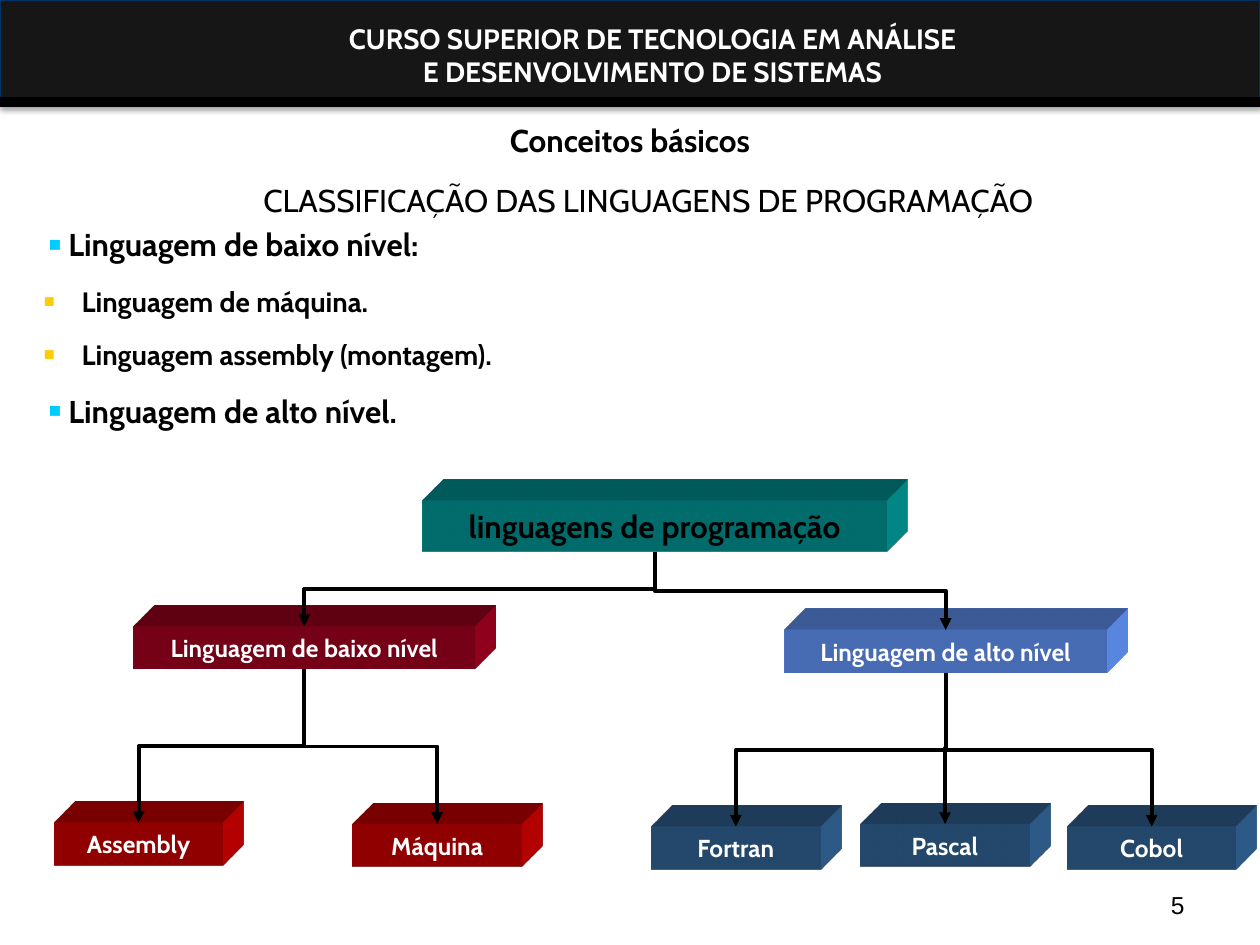
from lxml import etree
from pptx import Presentation
from pptx.dml.color import RGBColor
from pptx.enum import shapes, text
from pptx.oxml import parse_xml
from pptx.oxml.ns import nsdecls, qn
from pptx.util import Inches, Pt

FONT = "Cabin"
COLORS = {
    "black": "000000", "white": "FFFFFF", "header": "161616", "header_line": "003264",
    "cyan": "00CCFF", "yellow": "FFCC00", "teal": "009999", "wine": "A50021",
    "sky": "6699FF", "red": "CC0000", "navy": "336699",
}


def rgb(name):
    return RGBColor.from_string(COLORS[name])


def place(shape, left, top, width, height):
    shape.left, shape.top = Inches(left), Inches(top)
    shape.width, shape.height = Inches(width), Inches(height)


def add_run(paragraph, words, size, color="black", bold=False, font=FONT):
    run = paragraph.add_run()
    run.text = words
    run.font.name = font
    run.font.size = Pt(size)
    run.font.bold = bold
    run.font.color.rgb = rgb(color)


def add_textbox(slide, left, top, width, height):
    frame = slide.shapes.add_textbox(
        Inches(left), Inches(top), Inches(width), Inches(height)).text_frame
    frame.word_wrap = True
    return frame


def add_child(parent, tag, **attributes):
    return etree.SubElement(parent, qn(tag), attributes)


def set_spacing(properties, before, after):
    """Set the space around a paragraph in percent of its line."""
    for tag, percent in (("a:spcBef", before), ("a:spcAft", after)):
        add_child(add_child(properties, tag), "a:spcPct", val=str(percent * 1000))


def set_bullet(properties, color):
    add_child(add_child(properties, "a:buClr"), "a:srgbClr", val=COLORS[color])
    add_child(properties, "a:buSzPct", val="65000")
    add_child(properties, "a:buFont", typeface="Arial")
    add_child(properties, "a:buChar", char="■")


def add_header(slide):
    band = slide.shapes.add_shape(
        shapes.MSO_SHAPE.RECTANGLE, 0, 0, Inches(10), Inches(0.84))
    band.fill.solid()
    band.fill.fore_color.rgb = rgb("header")
    band.line.color.rgb = rgb("header_line")
    band.line.width = Pt(0.75)
    effects = add_child(band._element.spPr, "a:effectLst")
    shadow = add_child(effects, "a:outerShdw", blurRad=str(Pt(3.1)),
                       dist=str(Pt(1.8)), dir="5400000", rotWithShape="0")
    shade = add_child(shadow, "a:srgbClr", val=COLORS["black"])
    add_child(shade, "a:alpha", val="35000")

    frame = add_textbox(slide, 1.3, 0.12, 7.76, 0.64)
    lines = ("CURSO SUPERIOR DE TECNOLOGIA EM ANÁLISE", "E DESENVOLVIMENTO DE SISTEMAS")
    for index, line in enumerate(lines):
        paragraph = frame.add_paragraph() if index else frame.paragraphs[0]
        paragraph.alignment = text.PP_ALIGN.CENTER
        add_run(paragraph, line, 16, "white", True)

    rule = slide.shapes.add_connector(
        shapes.MSO_CONNECTOR.STRAIGHT, 0, Inches(0.81), Inches(10), Inches(0.81))
    style_line(rule, 6)


def style_line(connector, width):
    connector.line.color.rgb = rgb("black")
    connector.line.width = Pt(width)
    add_child(connector._element.spPr, "a:effectLst")


def add_title(slide):
    title = slide.shapes.title
    place(title, 0, 0.91, 10, 0.4)
    frame = title.text_frame
    frame.word_wrap = True
    frame.auto_size = text.MSO_AUTO_SIZE.NONE
    frame.vertical_anchor = text.MSO_ANCHOR.TOP
    frame.paragraphs[0].alignment = text.PP_ALIGN.CENTER
    add_run(frame.paragraphs[0], "Conceitos básicos", 18, bold=True)


def add_outline(slide):
    frame = add_textbox(slide, 0, 1.39, 10, 2.18)
    heading = frame.paragraphs[0]
    heading.alignment = text.PP_ALIGN.CENTER
    properties = heading._p.get_or_add_pPr()
    properties.set("marL", str(Inches(0.1)))
    properties.set("indent", str(Inches(0.19)))
    add_run(heading, "CLASSIFICAÇÃO DAS LINGUAGENS DE PROGRAMAÇÃO", 18)

    levels = [(0.1, 0.19, "cyan", 18), (0.5, -0.25, "yellow", 16)]
    items = [
        (0, " Linguagem de baixo nível:"),
        (1, " Linguagem de máquina."),
        (1, " Linguagem assembly (montagem)."),
        (0, " Linguagem de alto nível."),
    ]
    for level, words in items:
        margin, indent, color, size = levels[level]
        paragraph = frame.add_paragraph()
        paragraph.level = level
        properties = paragraph._p.get_or_add_pPr()
        properties.set("marL", str(Inches(margin)))
        properties.set("indent", str(Inches(indent)))
        set_spacing(properties, 20, 50)
        set_bullet(properties, color)
        add_run(paragraph, words, size, bold=True)


def add_block(slide, words, left, top, width, height, fill,
              size=14, color="white", wrap=True):
    """Add a box that is extruded to the top right."""
    block = slide.shapes.add_shape(
        shapes.MSO_SHAPE.RECTANGLE,
        Inches(left), Inches(top), Inches(width), Inches(height))
    block.shadow.inherit = False
    block.fill.solid()
    block.fill.fore_color.rgb = rgb(fill)
    block.line.fill.background()
    properties = block._element.spPr
    properties.append(parse_xml(
        f'<a:scene3d {nsdecls("a")}><a:camera prst="legacyObliqueTopRight"/>'
        '<a:lightRig rig="legacyFlat3" dir="b"/></a:scene3d>'))
    properties.append(parse_xml(
        f'<a:sp3d {nsdecls("a")} extrusionH="430200" prstMaterial="legacyMatte">'
        f'<a:extrusionClr><a:srgbClr val="{COLORS[fill]}"/></a:extrusionClr></a:sp3d>'))
    frame = block.text_frame
    frame.word_wrap = wrap
    frame.auto_size = text.MSO_AUTO_SIZE.SHAPE_TO_FIT_TEXT
    frame.vertical_anchor = text.MSO_ANCHOR.MIDDLE
    frame.paragraphs[0].alignment = text.PP_ALIGN.CENTER
    add_run(frame.paragraphs[0], words, size, color, True)
    return block


def add_branch(slide, parent, child):
    """Draw an elbow arrow from the bottom of parent to the top of child."""
    start_x, start_y = parent.left + parent.width // 2, parent.top + parent.height
    end_x, end_y = child.left + child.width // 2, child.top
    # The elbow is laid out sideways around its centre, then turned upright.
    length, spread = end_y - start_y, abs(end_x - start_x)
    left = (start_x + end_x - length) // 2
    top = (start_y + end_y - spread) // 2
    begin, end = left, left + length
    rotation = 90
    if end_x > start_x:
        begin, end = end, begin
        rotation = 270
    branch = slide.shapes.add_connector(
        shapes.MSO_CONNECTOR.ELBOW, begin, top, end, top + spread)
    branch._element.spPr.find(qn("a:xfrm")).set("rot", str(rotation * 60000))
    style_line(branch, 2.25)
    add_child(branch.line._get_or_add_ln(), "a:tailEnd", type="triangle")


def add_tree(slide):
    root = add_block(slide, "linguagens de programação", 3.35, 3.97, 3.69, 0.41,
                     "teal", 18, "black", wrap=False)
    low = add_block(slide, "Linguagem de baixo nível", 1.06, 4.97, 2.71, 0.34,
                    "wine", wrap=False)
    high = add_block(slide, "Linguagem de alto nível", 6.23, 5, 2.55, 0.34,
                     "sky", wrap=False)
    leaves = [
        (low, "Assembly", 0.43, 6.53, "red"),
        (low, "Máquina", 2.8, 6.54, "red"),
        (high, "Fortran", 5.17, 6.56, "navy"),
        (high, "Pascal", 6.83, 6.54, "navy"),
        (high, "Cobol", 8.47, 6.56, "navy"),
    ]
    branches = [(root, low), (root, high)]
    for parent, words, left, top, fill in leaves:
        branches.append((parent, add_block(slide, words, left, top, 1.34, 0.34, fill)))
    for parent, child in branches:
        add_branch(slide, parent, child)


def add_page_number(slide):
    frame = add_textbox(slide, 7.17, 6.83, 2.33, 0.52)
    frame.vertical_anchor = text.MSO_ANCHOR.BOTTOM
    frame.paragraphs[0].alignment = text.PP_ALIGN.RIGHT
    add_run(frame.paragraphs[0], "5", 14, font="Arial")


def main():
    presentation = Presentation()
    presentation.slide_width, presentation.slide_height = Inches(10), Inches(7.5)
    slide = presentation.slides.add_slide(presentation.slide_layouts[5])
    add_header(slide)
    add_page_number(slide)
    add_title(slide)
    add_outline(slide)
    add_tree(slide)
    presentation.save("out.pptx")


if __name__ == "__main__":
    main()
